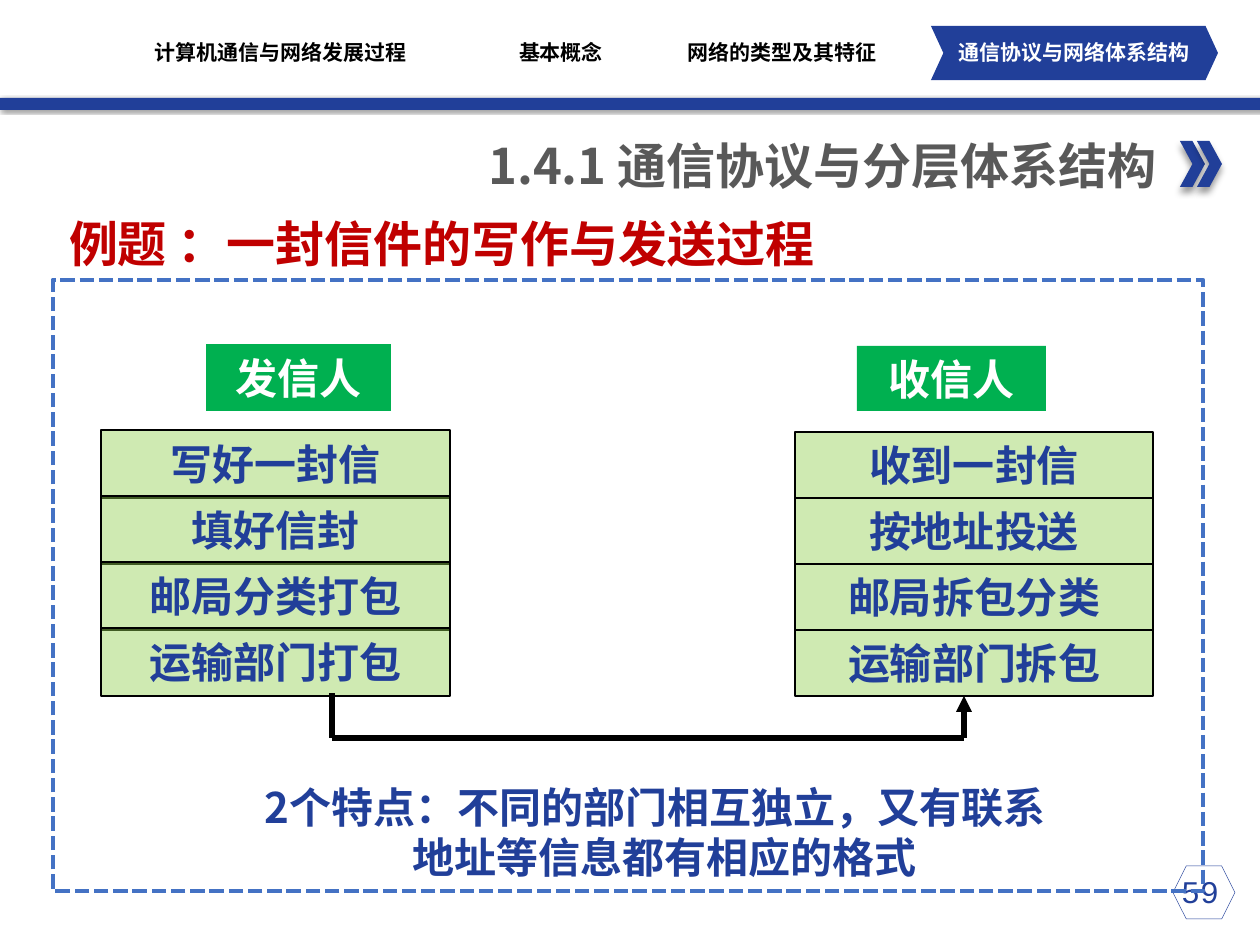
import pptx
import pptx.dml.color
import pptx.enum.dml
import pptx.enum.shapes
import pptx.enum.text
import pptx.oxml
import pptx.oxml.ns
import pptx.util

PX = 914400 / 126
BLUE, GREEN, RED, GRAY = "213F99", "00B050", "C00000", "595959"
WHITE, BLACK, LIME, DASH_BLUE = "FFFFFF", "000000", "92D050", "4472C4"
CJK = "Noto Sans CJK SC"
SHAPE = pptx.enum.shapes.MSO_SHAPE
ALIGN = pptx.enum.text.PP_ALIGN
NO_INSET = (0, 0, 0, 0)
CELL_INSET = (12, 6, 12, 6)
TITLE_INSET = (12, 10, 12, 2)


def px(value):
    return pptx.util.Emu(round(value * PX))


def color(value):
    return pptx.dml.color.RGBColor.from_string(value)


def add_xml(parent, xml):
    """Append an XML fragment and return the new element."""
    namespace = pptx.oxml.ns.nsdecls("a")
    element = pptx.oxml.parse_xml(xml.replace("/>", f" {namespace}/>", 1))
    parent.append(element)
    return element


def set_shadow(shape, blur, distance, angle):
    effects = shape._element.spPr.find(pptx.oxml.ns.qn("a:effectLst"))
    shadow = add_xml(effects, f'<a:outerShdw blurRad="{blur * 12700}" dist="{distance * 12700}" '
                              f'dir="{angle * 60000}" algn="t" rotWithShape="0"/>')
    black = add_xml(shadow, f'<a:srgbClr val="{BLACK}"/>')
    add_xml(black, '<a:alpha val="40000"/>')


def add_shape(shapes, kind, box, fill=None, line=None, weight=0.75, alpha=None):
    shape = shapes.add_shape(kind, *map(px, box))
    shape.shadow.inherit = False
    if fill:
        shape.fill.solid()
        shape.fill.fore_color.rgb = color(fill)
    else:
        shape.fill.background()
    if alpha:
        add_xml(shape.fill._xPr.solidFill[0], f'<a:alpha val="{alpha * 1000}"/>')
    if line:
        shape.line.color.rgb = color(line)
        shape.line.width = pptx.util.Pt(weight)
    else:
        shape.line.fill.background()
    return shape


def write(shape, lines, size, text_color, font=CJK, bold=True, align=ALIGN.CENTER,
          inset=CELL_INSET):
    """Fill a shape with lines, each a pair of text and left margin."""
    frame = shape.text_frame
    frame.word_wrap = True
    frame.vertical_anchor = pptx.enum.text.MSO_ANCHOR.MIDDLE
    for side, value in zip(("left", "top", "right", "bottom"), inset):
        setattr(frame, f"margin_{side}", px(value))
    font_format = {"name": font, "size": pptx.util.Pt(size), "bold": bold}
    for index, (text, margin) in enumerate(lines):
        paragraph = frame.add_paragraph() if index else frame.paragraphs[0]
        paragraph.alignment = align
        paragraph.line_spacing = pptx.util.Pt(size * 1.2)
        if margin:
            paragraph._p.get_or_add_pPr().set("marL", str(px(margin)))
        run = paragraph.add_run()
        run.text = text
        for name, value in font_format.items():
            setattr(run.font, name, value)
        run.font.color.rgb = color(text_color)
        add_xml(run._r.get_or_add_rPr(), f'<a:ea typeface="{CJK}"/>')


def add_text(slide, box, lines, size, text_color, **options):
    write(slide.shapes.add_textbox(*map(px, box)), lines, size, text_color, **options)


def add_line(slide, start, end, arrow=False):
    connector = slide.shapes.add_connector(
        pptx.enum.shapes.MSO_CONNECTOR.STRAIGHT, *map(px, start + end))
    connector.line.color.rgb = color(BLACK)
    connector.line.width = pptx.util.Pt(3)
    if arrow:
        add_xml(connector.line._get_or_add_ln(), '<a:tailEnd type="triangle"/>')
    add_xml(connector._element.spPr, "<a:effectLst/>")


def add_stack(slide, left, top, width, height, steps):
    """Stack the steps of one person's work, one box under the other."""
    for index, step in enumerate(steps):
        box = (left, top + 66 * index, width, height)
        shape = add_shape(slide.shapes, SHAPE.RECTANGLE, box, LIME, BLACK, alpha=44)
        write(shape, [(step, 0)], 24, BLUE)


def add_header(slide):
    bar = add_shape(slide.shapes, SHAPE.RECTANGLE, (0, 98, 1260, 12), BLUE)
    set_shadow(bar, 2, 1, 45)
    marks = slide.shapes.add_group_shape()
    for left in (1180, 1197):
        mark = add_shape(marks.shapes, SHAPE.CHEVRON, (left, 141, 25, 46), BLUE)
        set_shadow(mark, 4, 3, 90)

    # Navigation, with the current section highlighted
    current = add_shape(slide.shapes, SHAPE.CHEVRON, (931, 26, 287, 54), BLUE)
    current.adjustments[0] = 0.23
    for left, width, label, label_color in (
            (138, 285, "计算机通信与网络发展过程", BLACK),
            (470, 182, "基本概念", BLACK),
            (678, 208, "网络的类型及其特征", BLACK),
            (916, 316, "通信协议与网络体系结构", WHITE)):
        add_text(slide, (left, 40, width, 25), [(label, 0)], 12, label_color,
                 font="Arial Narrow", inset=NO_INSET)

    # Titles
    add_text(slide, (292, 125, 876, 72), [("1.4.1 通信协议与分层体系结构", 0)], 28, GRAY,
             align=ALIGN.RIGHT, inset=TITLE_INSET)
    add_text(slide, (34, 203, 811, 72), [("例题 ：一封信件的写作与发送过程", 23)], 28, RED,
             align=ALIGN.LEFT, inset=TITLE_INSET)


def add_letter_process(slide):
    frame = add_shape(slide.shapes, SHAPE.RECTANGLE, (53, 280, 1150, 611),
                      line=DASH_BLUE, weight=2.75)
    frame.line.dash_style = pptx.enum.dml.MSO_LINE.SQUARE_DOT

    # Sender and receiver
    for box, person in (((206, 344, 185, 67), "发信人"), ((857, 346, 189, 65), "收信人")):
        write(add_shape(slide.shapes, SHAPE.RECTANGLE, box, GREEN), [(person, 0)], 24, WHITE)
    add_stack(slide, 101, 430, 349, 68,
              ("写好一封信", "填好信封", "邮局分类打包", "运输部门打包"))
    add_stack(slide, 795, 432, 358, 66,
              ("收到一封信", "按地址投送", "邮局拆包分类", "运输部门拆包"))

    # Route of the letter
    corners = [(332, 693), (332, 738), (964, 738), (964, 696)]
    for start, end in zip(corners, corners[1:]):
        add_line(slide, start, end, arrow=end == corners[-1])

    add_text(slide, (74, 770, 1162, 115),
             [("2个特点：不同的部门相互独立，又有联系", 0), ("地址等信息都有相应的格式", 20)],
             24, BLUE, inset=TITLE_INSET)


def add_page_number(slide):
    add_shape(slide.shapes, SHAPE.HEXAGON, (1173, 866, 62, 53), line=BLUE, weight=0.25)
    add_text(slide, (1145, 866, 110, 50), [("59", 0)], 18, BLUE,
             font="Courier New", bold=False)


def main():
    presentation = pptx.Presentation()
    presentation.slide_width, presentation.slide_height = px(1260), px(945)
    slide = presentation.slides.add_slide(presentation.slide_layouts[6])
    add_page_number(slide)
    add_header(slide)
    add_letter_process(slide)
    presentation.save("out.pptx")


if __name__ == "__main__":
    main()
